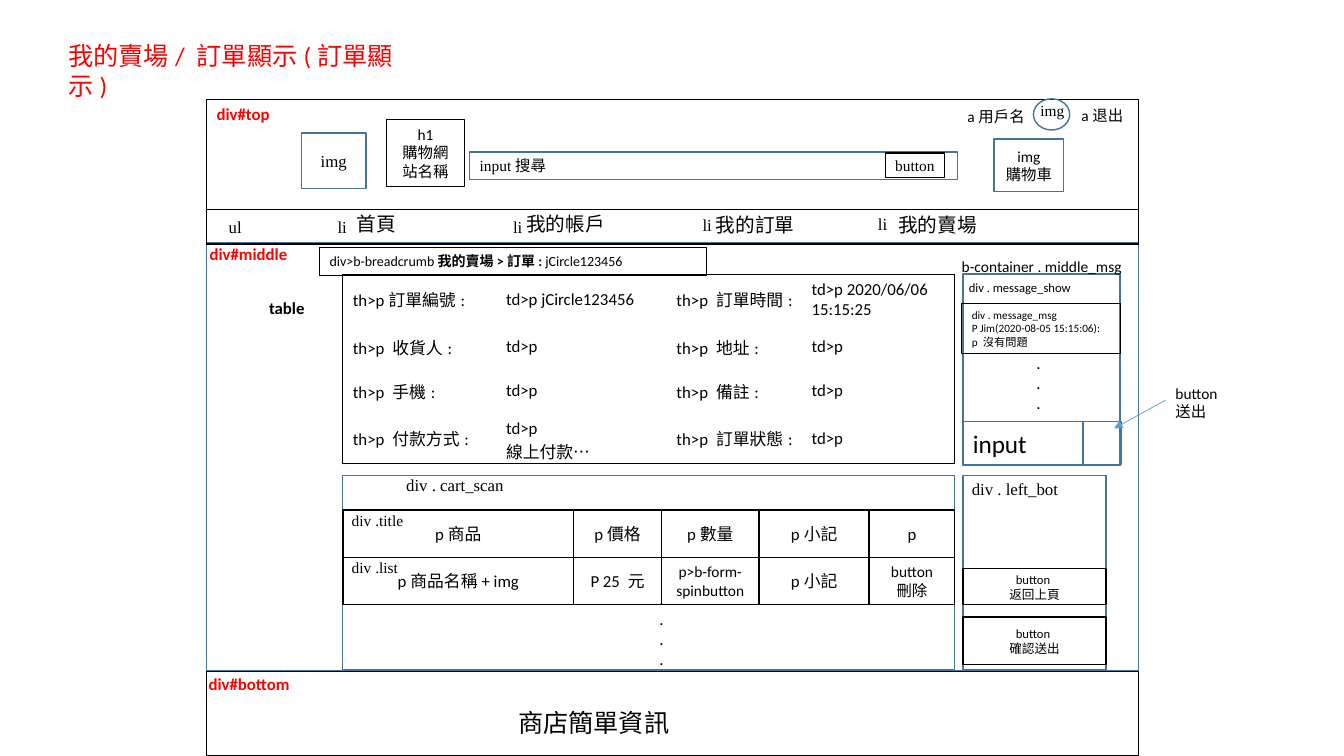
import itertools

import pptx
import pptx.dml.color
import pptx.enum.shapes
import pptx.enum.text
import pptx.oxml
import pptx.oxml.ns
import pptx.util
from pptx.util import Inches

COLORS = {"ink": "000000", "frame": "43739E", "tag": "FF0000",
          "arrow": "5B9BD5", "paper": "FFFFFF"}
SERIF = "Times New Roman"
NO_TABLE_STYLE = "{2D5ABB26-0587-4C30-8999-92F81FD0307C}"
SHAPES = pptx.enum.shapes.MSO_SHAPE
ALIGN = pptx.enum.text.PP_ALIGN
ANCHOR = pptx.enum.text.MSO_ANCHOR
GROW = pptx.enum.text.MSO_AUTO_SIZE.SHAPE_TO_FIT_TEXT


def rgb(name):
    return pptx.dml.color.RGBColor.from_string(COLORS[name])


class Wireframe:
    """Draws wireframe elements on one slide in a shared style."""

    def __init__(self, deck):
        self.page = deck.slides.add_slide(deck.slide_layouts[6])
        self.style = {"name": "Calibri", "size": 12, "color": "ink", "bold": False}

    def set_text(self, frame, lines, align=ALIGN.LEFT, **changes):
        """Each line is a string or a list of (text, changes) pairs."""
        base = {**self.style, **changes}
        for number, line in enumerate(lines):
            para = frame.add_paragraph() if number else frame.paragraphs[0]
            para.alignment = align
            for text, extra in [(line, {})] if isinstance(line, str) else line:
                style = {**base, **extra}
                span = para.add_run()
                span.text = text
                span.font.color.rgb = rgb(style["color"])
                values = {"name": style["name"], "bold": style["bold"],
                          "size": pptx.util.Pt(style["size"])}
                for key, value in values.items():
                    setattr(span.font, key, value)

    def box(self, left, top, width, height, *lines, line="frame", weight=1,
            fill=None, kind=SHAPES.RECTANGLE, grow=False, align=ALIGN.CENTER, **changes):
        box = self.page.shapes.add_shape(
            kind, Inches(left), Inches(top), Inches(width), Inches(height))
        box.shadow.inherit = False
        if fill:
            box.fill.solid()
            box.fill.fore_color.rgb = rgb(fill)
        else:
            box.fill.background()
        box.line.color.rgb = rgb(line)
        box.line.width = pptx.util.Pt(weight)
        frame = box.text_frame
        frame.word_wrap = True
        frame.vertical_anchor = ANCHOR.TOP if grow else ANCHOR.MIDDLE
        if grow:
            frame.auto_size = GROW
        self.set_text(frame, lines, align, **changes)

    def label(self, left, top, width, height, *lines, wrap=False,
              align=ALIGN.LEFT, **changes):
        box = self.page.shapes.add_textbox(
            Inches(left), Inches(top), Inches(width), Inches(height))
        box.text_frame.word_wrap = wrap
        box.text_frame.auto_size = GROW
        self.set_text(box.text_frame, lines, align, **changes)

    def table(self, left, top, widths, heights, rows):
        frame = self.page.shapes.add_table(
            len(rows), len(widths), Inches(left), Inches(top),
            Inches(sum(widths)), Inches(sum(heights)))
        table = frame.table
        table.first_row = table.horz_banding = False
        frame._element.find(".//" + pptx.oxml.ns.qn("a:tableStyleId")).text = NO_TABLE_STYLE
        for column, width in zip(table.columns, widths):
            column.width = Inches(width)
        last_row, last_column = len(rows) - 1, len(widths) - 1
        for r, row in enumerate(rows):
            table.rows[r].height = Inches(heights[r])
            for c, text in enumerate(row):
                cell = table.cell(r, c)
                cell.vertical_anchor = ANCHOR.MIDDLE
                self.set_text(cell.text_frame, text.split("\n"))
                edges = {"L": c == 0, "R": c == last_column,
                         "T": r == 0, "B": r == last_row}
                for side in (side for side, outer in edges.items() if outer):
                    self.border(cell, side)
                cell.fill.background()

    def border(self, cell, side):
        cell._tc.get_or_add_tcPr().append(pptx.oxml.parse_xml(
            f'<a:ln{side} {pptx.oxml.ns.nsdecls("a")} w="12700"><a:solidFill>'
            f'<a:srgbClr val="{COLORS["ink"]}"/></a:solidFill></a:ln{side}>'))

    def arrow(self, x1, y1, x2, y2):
        link = self.page.shapes.add_connector(
            pptx.enum.shapes.MSO_CONNECTOR.STRAIGHT,
            Inches(x1), Inches(y1), Inches(x2), Inches(y2))
        link.line.color.rgb = rgb("arrow")
        link.line.width = pptx.util.Pt(0.5)
        space = pptx.oxml.ns.nsdecls("a")
        properties = link._element.spPr
        properties.find(pptx.oxml.ns.qn("a:ln")).append(
            pptx.oxml.parse_xml(f'<a:tailEnd {space} type="triangle"/>'))
        properties.append(pptx.oxml.parse_xml(f"<a:effectLst {space}/>"))


def draw_header(wire):
    wire.label(0.58, 0.35, 3.54, 0.4, "我的賣場/ 訂單顯示(訂單顯示)",
               wrap=True, size=18, color="tag")
    # Page frames
    wire.box(2.05, 2.41, 9.24, 4.24)
    wire.box(2.05, 0.99, 9.24, 1.43, line="ink")
    wire.box(2.05, 6.66, 9.24, 0.84, line="ink")
    for left, top, width, name in ((2.05, 0.98, 0.74, "div#top"),
                                   (1.98, 2.37, 0.99, "div#middle"),
                                   (1.97, 6.63, 1.02, "div#bottom")):
        wire.label(left, top, width, 0.3, name, color="tag", bold=True)
    # Site name and search
    wire.box(2.99, 1.32, 0.64, 0.55, "img", fill="paper", name=SERIF)
    wire.box(3.83, 1.19, 0.78, 0.66, "h1", "購物網站名稱",
             line="ink", weight=0.75, grow=True, size=11)
    wire.box(4.66, 1.51, 4.84, 0.27, [("input", {"name": SERIF}), ("搜尋", {})],
             align=ALIGN.LEFT, size=11)
    wire.box(8.78, 1.52, 0.59, 0.24, "button", line="ink", name=SERIF, size=11)
    wire.box(9.86, 1.38, 0.69, 0.52, "img", "購物車", size=11)
    # User links
    wire.box(10.25, 0.98, 0.36, 0.31, kind=SHAPES.OVAL)
    wire.label(10.22, 0.95, 0.44, 0.29, "img", name=SERIF, size=11)
    for left, top, text in ((9.48, 1.01, "a用戶名 "), (10.55, 1, "a退出 ")):
        wire.label(left, top, 0.8, 0.29, text, wrap=True, align=ALIGN.CENTER, size=11)
    # Menu
    wire.box(2.05, 2.08, 9.24, 0.34, line="ink")
    wire.label(2.17, 2.1, 0.34, 0.3, "ul", name=SERIF)
    for left, top, name, li_left, li_top in (
            (2.79, 2.05, "首頁", 3.25, 2.1), (4.67, 2.05, "我的帳戶", 4.99, 2.1),
            (6.55, 2.06, "我的訂單", 6.87, 2.08), (8.36, 2.06, "我的賣場", 8.61, 2.07)):
        wire.label(left, top, 1.88, 0.34, name, wrap=True, align=ALIGN.CENTER, size=14)
        wire.label(li_left, li_top, 0.3, 0.3, "li", name=SERIF)


def draw_order(wire):
    # Breadcrumb and order table
    wire.box(3.17, 2.46, 3.84, 0.27,
             [("div>b-breadcrumb", {}), ("我的賣場>訂單: ", {"bold": True}), ("jCircle123456", {})],
             line="ink", weight=0.75, grow=True, align=ALIGN.LEFT, size=10)
    wire.label(2.57, 2.9, 0.56, 0.3, "table", bold=True)
    wire.table(3.4, 2.72, (1.52, 1.69, 1.34, 1.52), (0.47, 0.44, 0.44, 0.49), (
        ("th>p訂單編號:", "td>p jCircle123456", "th>p 訂單時間:", "td>p 2020/06/06\n15:15:25"),
        ("th>p 收貨人:", "td>p", "th>p 地址:", "td>p"),
        ("th>p 手機:", "td>p", "th>p 備註:", "td>p"),
        ("th>p 付款方式:", "td>p\n線上付款…", "th>p 訂單狀態:", "td>p")))
    # Cart
    wire.box(3.4, 4.72, 6.07, 1.92)
    wire.label(3.93, 4.66, 1.22, 0.3, "div . cart_scan", name=SERIF)
    wire.label(3.39, 5.02, 0.71, 0.29, "div .title", name=SERIF, size=11)
    wire.label(3.39, 5.49, 0.66, 0.29, "div .list", name=SERIF, size=11)
    widths = (2.29, 0.87, 0.97, 1.09, 0.85)
    lefts = list(itertools.accumulate(widths, initial=3.4))
    cart = (("p商品", "p價格", "p數量", "p小記", "p"),
            ("p商品名稱+ img", "P 25 元", "p>b-form-spinbutton", "p小記", "button\n刪除"))
    for r, row in enumerate(cart):
        for left, width, text in zip(lefts, widths, row):
            size = 11 if "button" in text else 12
            wire.box(left, 5.06 + 0.47 * r, width, 0.47, *text.split("\n"),
                     line="ink", size=size)
    wire.label(6.44, 5.79, 0.31, 0.91, *"....", wrap=True)
    wire.label(5.04, 6.97, 1.72, 0.4, "商店簡單資訊", size=18)


def draw_sidebar(wire):
    # Messages
    wire.box(9.55, 2.72, 1.56, 1.89)
    wire.box(9.55, 4.18, 1.56, 0.44, "input", align=ALIGN.LEFT, size=18)
    wire.label(9.44, 2.5, 1.8, 0.29, "b-container . middle_msg", size=11)
    wire.label(9.51, 2.73, 1.22, 0.25, "div . message_show", size=9)
    wire.box(9.54, 3.01, 1.57, 0.5, "div . message_msg", "P Jim(2020-08-05 15:15:06):",
             "p 沒有問題", line="ink", weight=0.75, grow=True, align=ALIGN.LEFT, size=8)
    wire.label(10.18, 3.45, 0.31, 0.71, *"...", wrap=True)
    wire.box(10.74, 4.18, 0.38, 0.43)
    wire.arrow(11.56, 3.97, 11.05, 4.25)
    wire.label(11.56, 3.76, 0.63, 0.47, "button", "送出", size=11)
    # Page buttons
    wire.box(9.55, 4.72, 1.42, 1.92)
    wire.label(9.54, 4.7, 1.16, 0.3, "div . left_bot", wrap=True, name=SERIF)
    for top, height, action in ((5.64, 0.36, "返回上頁"), (6.12, 0.47, "確認送出")):
        wire.box(9.55, top, 1.42, height, "button ", action, line="ink", size=9)


def main():
    deck = pptx.Presentation()
    deck.slide_width, deck.slide_height = Inches(13.33), Inches(7.5)
    wire = Wireframe(deck)
    draw_header(wire)
    draw_order(wire)
    draw_sidebar(wire)
    deck.save("out.pptx")


if __name__ == "__main__":
    main()
